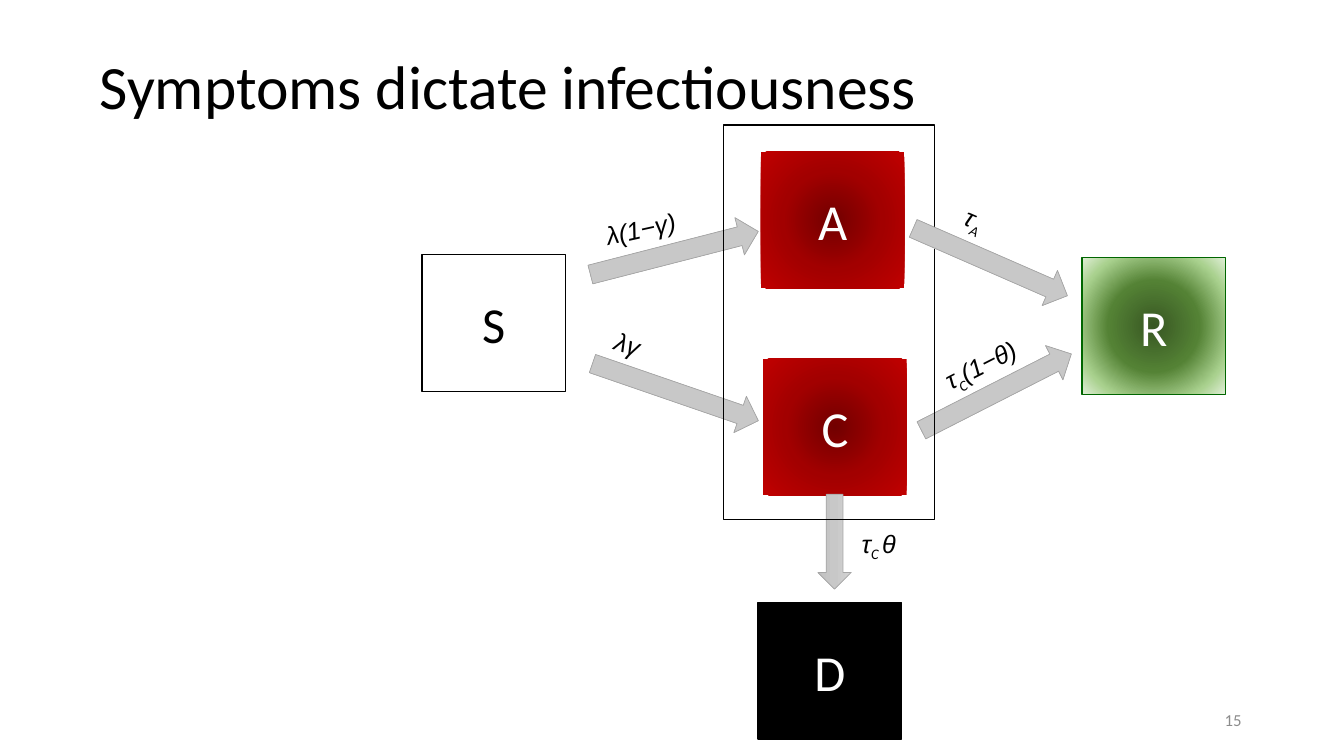
from lxml.etree import SubElement as Sub
from pptx import Presentation
from pptx.dml.color import RGBColor as RGB
from pptx.enum.shapes import MSO_SHAPE as Kind
from pptx.enum.text import MSO_ANCHOR as Anchor, PP_ALIGN as Align
from pptx.oxml.ns import qn
from pptx.util import Pt

BLACK = RGB(0x00, 0x00, 0x00)
WHITE = RGB(0xFF, 0xFF, 0xFF)
GREY = RGB(0x8C, 0x8C, 0x8C)
EDGE = RGB(0xA5, 0xA5, 0xA5)
GREEN = RGB(0x00, 0x66, 0x00)
REDS = [(0, RGB(0x72, 0x00, 0x00)), (50, RGB(0xA2, 0x00, 0x00)),
        (100, RGB(0xC0, 0x00, 0x00))]
GREENS = [(0, RGB(0x38, 0x57, 0x23)), (46, RGB(0x54, 0x82, 0x35)),
          (79, RGB(0xA9, 0xD1, 0x8E)), (100, RGB(0xE2, 0xF0, 0xD9))]
GREYS = [(0, RGB(0xD2, 0xD2, 0xD2)), (50, RGB(0xC8, 0xC8, 0xC8)),
         (100, RGB(0xC0, 0xC0, 0xC0))]

BOX_W, BOX_H = 102.5, 97.5
BOXES = [
    ("S", 301.5, 182, WHITE, BLACK, 1, BLACK),
    ("R", 772.9, 184.2, GREENS, GREEN, 0.75, WHITE),
    ("C", 545.2, 256.2, REDS, None, 0, WHITE),
    ("D", 541.5, 430.5, BLACK, BLACK, 1, WHITE),
    ("A", 543.5, 108.6, REDS, None, 0, WHITE),
]
INNER = [
    (419.8, 167, 123.8, 27.4, 345.6),
    (651.6, 266.4, 120.2, 27.4, 333),
    (562.3, 375.1, 67.7, 23.8, 90),
    (419.8, 266.4, 125.3, 27.4, 19),
]
OUTER = (647.3, 173.5, 120.2, 27.4, 23.6)
LABELS = [
    (424.8, 143.3, 115.9, 347.6, ["λ(1−γ)"]),
    (664.6, 240.5, 92.9, 333, ["τ", "C", "(1−θ)"]),
    (608.4, 373.7, 78.5, 0, ["τ", "C ", "θ"]),
    (429.8, 248.4, 141.8, 17.9, ["λγ"]),
    (679.7, 155.5, 92.9, 23.6, ["τ", "A"]),
]


def blend(shape, stops, radial):
    """Fill a shape with a radial or a downward gradient."""
    shape.fill.gradient()
    grad = shape._element.spPr.find(qn("a:gradFill"))
    for child in list(grad):
        grad.remove(child)
    items = Sub(grad, qn("a:gsLst"))
    for pos, color in stops:
        stop = Sub(items, qn("a:gs"), pos=str(pos * 1000))
        Sub(stop, qn("a:srgbClr"), val=str(color))
    if radial:
        way = Sub(grad, qn("a:path"), path="circle")
        Sub(way, qn("a:fillToRect"), l="50000", t="50000", r="50000", b="50000")
    else:
        Sub(grad, qn("a:lin"), ang="5400000", scaled="0")


def style(font, size, color, name="Calibri"):
    """Set the look of a font."""
    font.name, font.size = name, Pt(size)
    font.color.rgb = color


def add(slide, kind, place, edge, weight):
    """Add a flat shape with its outline."""
    shape = slide.shapes.add_shape(kind, *map(Pt, place))
    shape.shadow.inherit = False
    if edge is None:
        shape.line.fill.background()
    else:
        shape.line.color.rgb = edge
        shape.line.width = Pt(weight)
    return shape


def box(slide, text, left, top, fill, edge, weight, ink):
    """Add one compartment with its letter."""
    shape = add(slide, Kind.RECTANGLE, (left, top, BOX_W, BOX_H), edge, weight)
    if isinstance(fill, list):
        blend(shape, fill, True)
    else:
        shape.fill.solid()
        shape.fill.fore_color.rgb = fill
    frame = shape.text_frame
    frame.text = text
    frame.vertical_anchor = Anchor.MIDDLE
    para = frame.paragraphs[0]
    para.alignment = Align.CENTER
    style(para.runs[0].font, 36, ink)


def arrow(slide, left, top, width, height, turn):
    """Add a turned block arrow."""
    shape = add(slide, Kind.RIGHT_ARROW, (left, top, width, height), EDGE, 0.5)
    shape.rotation = turn
    blend(shape, GREYS, False)


def label(slide, left, top, width, turn, parts):
    """Add a rate label whose second part is a subscript."""
    text = slide.shapes.add_textbox(Pt(left), Pt(top), Pt(width), Pt(29))
    text.rotation = turn
    text.text_frame.word_wrap = True
    para = text.text_frame.paragraphs[0]
    for i, part in enumerate(parts):
        run = para.add_run()
        run.text = part
        run.font.italic = True
        style(run.font, 18, BLACK, "Calibri" if i == 1 else "Arial")
        if i == 1:
            run.font._element.set("baseline", "-25000")


def line(slide, text, place, size, color, align):
    """Add a single line of text centred in height."""
    frame = slide.shapes.add_textbox(*map(Pt, place)).text_frame
    frame.text = text
    frame.word_wrap = True
    frame.vertical_anchor = Anchor.MIDDLE
    para = frame.paragraphs[0]
    para.alignment = align
    para.line_spacing = 0.9
    style(para.runs[0].font, size, color)


def main():
    """Build the slide and save it."""
    deck = Presentation()
    deck.slide_width, deck.slide_height = Pt(960), Pt(540)
    slide = deck.slides.add_slide(deck.slide_layouts[6])
    line(slide, "Symptoms dictate infectiousness", (64, 11.5, 828, 104.4),
         44, BLACK, Align.LEFT)
    for item in BOXES:
        box(slide, *item)
    for item in INNER:
        arrow(slide, *item)
    group = add(slide, Kind.RECTANGLE, (517, 89.3, 150.5, 281.5), BLACK, 0.75)
    group.fill.background()
    arrow(slide, *OUTER)
    for item in LABELS:
        label(slide, *item)
    line(slide, "15", (678, 500.5, 216, 28.8), 12, GREY, Align.RIGHT)
    deck.save("out.pptx")


if __name__ == "__main__":
    main()
